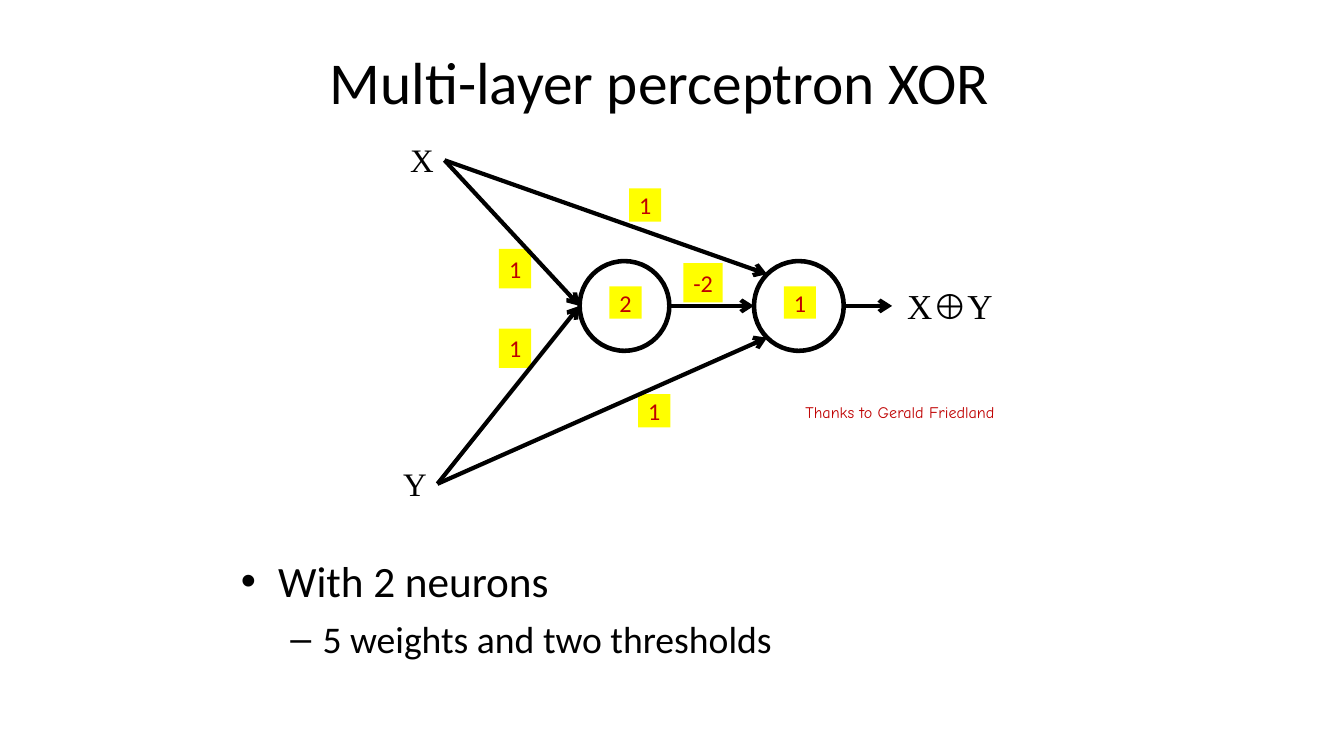
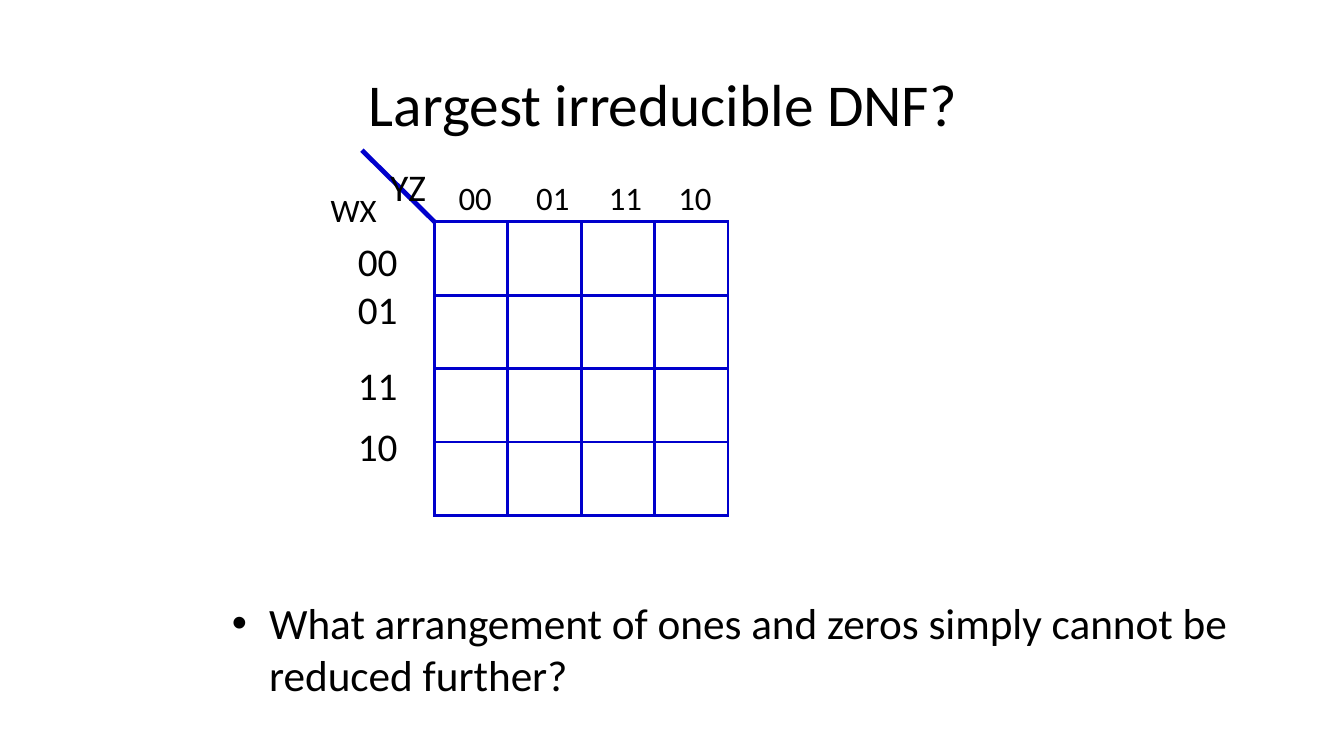
"""Build two slides: a two-neuron XOR network and an empty Karnaugh map."""
from dataclasses import dataclass
from typing import NamedTuple

from lxml.etree import SubElement
from pptx import Presentation
from pptx.dml.color import RGBColor
from pptx.enum.shapes import MSO_CONNECTOR, MSO_SHAPE
from pptx.enum.text import MSO_ANCHOR, MSO_AUTO_SIZE, PP_ALIGN
from pptx.oxml.ns import qn
from pptx.util import Emu, Inches, Pt

BLACK, RED, YELLOW, BLUE = "000000", "BF0000", "FFFF00", "0000CC"
SANS, SERIF, HAND = "Calibri", "Times New Roman", "Comic Neue"
TITLE_SIZE, BULLET_SIZE, SUB_SIZE, ROW_SIZE, LABEL_SIZE, CHIP_SIZE = 42.4, 30.9, 26.9, 28, 23.4, 17.2
COLUMNS, ROWS = 133.33, 75
CELL = Inches(0.1)


class Box(NamedTuple):
    x: float
    y: float
    w: float
    h: float


class Arrow(NamedTuple):
    x1: float
    y1: float
    x2: float
    y2: float


@dataclass(frozen=True)
class Label:
    text: str
    box: Box
    size: float = LABEL_SIZE
    font: str = SANS
    color: str = BLACK


@dataclass(frozen=True)
class Chip:
    text: str
    box: Box


@dataclass(frozen=True)
class Bullet:
    text: str
    char: str
    size: float
    margin: float
    hang: float
    before: float = 0


def rgb(value: str) -> RGBColor:
    return RGBColor.from_string(value)


def grid(n: float) -> Emu:
    return Emu(round(n * CELL))


def place(box: Box) -> list[Emu]:
    return [grid(n) for n in box]


def set_frame(tf, anchor=MSO_ANCHOR.TOP) -> None:
    tf.word_wrap = True
    tf.auto_size = MSO_AUTO_SIZE.NONE
    tf.vertical_anchor = anchor
    tf.margin_left = tf.margin_right = tf.margin_top = tf.margin_bottom = 0


def style(p, size: float, font: str = SANS, color: str = BLACK, align=PP_ALIGN.LEFT) -> None:
    p.alignment = align
    for r in p.runs:
        r.font.size = Pt(size)
        r.font.name = font
        r.font.color.rgb = rgb(color)


def add_titled_slide(prs, text: str, box: Box):
    s = prs.slides.add_slide(prs.slide_layouts[5])
    sp = s.shapes.title
    sp.left, sp.top, sp.width, sp.height = place(box)
    tf = sp.text_frame
    set_frame(tf, MSO_ANCHOR.MIDDLE)
    tf.text = text
    style(tf.paragraphs[0], TITLE_SIZE)
    return s


def add_label(s, label: Label):
    tf = s.shapes.add_textbox(*place(label.box)).text_frame
    set_frame(tf)
    tf.text = label.text
    for p in tf.paragraphs:
        style(p, label.size, label.font, label.color)
    return tf


def add_chip(s, chip: Chip) -> None:
    sp = s.shapes.add_shape(MSO_SHAPE.RECTANGLE, *place(chip.box))
    sp.shadow.inherit = False
    sp.fill.solid()
    sp.fill.fore_color.rgb = rgb(YELLOW)
    sp.line.fill.background()
    tf = sp.text_frame
    set_frame(tf, MSO_ANCHOR.MIDDLE)
    tf.text = chip.text
    style(tf.paragraphs[0], CHIP_SIZE, color=RED, align=PP_ALIGN.CENTER)


def add_neuron(s, box: Box) -> None:
    sp = s.shapes.add_shape(MSO_SHAPE.OVAL, *place(box))
    sp.shadow.inherit = False
    sp.fill.background()
    sp.line.color.rgb = rgb(BLACK)
    sp.line.width = Pt(3.25)


def add_line(s, ends: Arrow, color: str, width: float, head: bool = False) -> None:
    sp = s.shapes.add_connector(MSO_CONNECTOR.STRAIGHT, *[grid(n) for n in ends])
    sp.line.color.rgb = rgb(color)
    sp.line.width = Pt(width)
    if head:
        SubElement(sp.line._get_or_add_ln(), qn("a:tailEnd"), type="arrow", w="med", len="med")
    SubElement(sp._element.spPr, qn("a:effectLst"))


def add_bullets(s, box: Box, bullets: list[Bullet]) -> None:
    tf = s.shapes.add_textbox(*place(box)).text_frame
    set_frame(tf)
    for i, b in enumerate(bullets):
        p = tf.paragraphs[0] if i == 0 else tf.add_paragraph()
        p.text = b.text
        pPr = p._p.get_or_add_pPr()
        pPr.set("marL", str(grid(b.margin)))
        pPr.set("indent", str(-grid(b.hang)))
        SubElement(pPr, qn("a:buFont"), typeface="Arial")
        SubElement(pPr, qn("a:buChar"), char=b.char)
        if i:
            p.space_before = Pt(b.before)
        style(p, b.size)


def add_map(s, left: float, top: float, side: float, count: int) -> None:
    box = Box(left, top, side * count, side * count)
    table = s.shapes.add_table(count, count, *place(box)).table
    table.first_row = table.horz_banding = False
    for line in [*table.columns]:
        line.width = grid(side)
    for line in [*table.rows]:
        line.height = grid(side)
    for cell in table.iter_cells():
        tcPr = cell._tc.get_or_add_tcPr()
        for edge in ("a:lnL", "a:lnR", "a:lnT", "a:lnB"):
            ln = SubElement(tcPr, qn(edge), w=str(Pt(2.25)))
            SubElement(SubElement(ln, qn("a:solidFill")), qn("a:srgbClr"), val=BLUE)
        cell.fill.background()


def build_network(prs) -> None:
    s = add_titled_slide(prs, "Multi-layer perceptron XOR", Box(32.7, 4.4, 67.9, 7.3))
    diameter, top, hidden, output = 8.9, 25.9, 57.5, 74.8
    mid = top + diameter / 2
    weights = [
        Chip("-2", Box(67.8, 26.1, 3.9, 3.9)),
        Chip("1", Box(63.3, 39.1, 3.2, 3.3)),
        Chip("1", Box(62.4, 18.7, 3.2, 3.3)),
        Chip("1", Box(49.5, 24.7, 3.2, 3.9)),
        Chip("1", Box(49.5, 32.6, 3.2, 3.9)),
    ]
    for chip in weights:
        add_chip(s, chip)
    x_in, y_in = (44.1, 15.9), (43.4, 48)
    arrows = [
        Arrow(*x_in, hidden, mid),
        Arrow(*y_in, hidden, mid),
        Arrow(*x_in, output + 1.3, mid - 3.15),
        Arrow(*y_in, output + 1.3, mid + 3.15),
        Arrow(hidden + diameter, mid, output, mid),
        Arrow(output + diameter, mid, 88.5, mid),
    ]
    for arrow in arrows:
        add_line(s, arrow, BLACK, 3, head=True)
    for left, threshold in ((hidden, "2"), (output, "1")):
        add_neuron(s, Box(left, top, diameter, diameter))
        add_chip(s, Chip(threshold, Box(left + 2.95, 28.4, 3.2, 3.2)))
    labels = [
        Label("X", Box(40.7, 13.9, 2.6, 4), font=SERIF),
        Label("Y", Box(40, 46, 2.6, 4), font=SERIF),
        Label("X⊕Y", Box(90, 28.2, 10, 4.4), 25, SERIF),
        Label("Thanks to Gerald Friedland", Box(79.9, 39.9, 20.8, 2.1), 11.5, HAND, RED),
    ]
    for label in labels:
        add_label(s, label)
    add_bullets(s, Box(23.8, 55, 80, 11), [
        Bullet("With 2 neurons", "•", BULLET_SIZE, 3.8, 3.7),
        Bullet("5 weights and two thresholds", "–", SUB_SIZE, 8.2, 3.2, 7),
    ])


def build_map(prs) -> None:
    s = add_titled_slide(prs, "Largest irreducible DNF?", Box(36.6, 6.5, 60.1, 7.3))
    left, top, side, count = 43.1, 22, 7.28, 4
    codes = ["00", "01", "11", "10"]
    add_map(s, left, top, side, count)
    rows = add_label(s, Label("\n".join(codes), Box(35.5, 23.5, 6, 24), ROW_SIZE))
    for p, gap in zip(rows.paragraphs[1:], (0.8, 20.6, 10)):
        p.space_before = Pt(gap)
    heads = add_label(s, Label("\t".join(codes), Box(45.5, 17.6, 27, 4)))
    tabs = SubElement(heads.paragraphs[0]._p.get_or_add_pPr(), qn("a:tabLst"))
    for stop in (7.7, 14.9, 21.8):
        SubElement(tabs, qn("a:tab"), pos=str(grid(stop)), algn="l")
    add_line(s, Arrow(left + 0.1, top + 0.1, 35.9, 14.9), BLUE, 3.36)
    add_label(s, Label("WX", Box(32.8, 18.8, 5.5, 4)))
    add_label(s, Label("YZ", Box(38.7, 16.3, 4.5, 4.6), SUB_SIZE))
    add_bullets(s, Box(22.9, 59.2, 101.5, 10.6), [
        Bullet("What arrangement of ones and zeros simply cannot be reduced further?",
               "•", BULLET_SIZE, 3.8, 3.7),
    ])


def main() -> None:
    prs = Presentation()
    prs.slide_width, prs.slide_height = grid(COLUMNS), grid(ROWS)
    build_network(prs)
    build_map(prs)
    prs.save("out.pptx")


if __name__ == "__main__":
    main()
